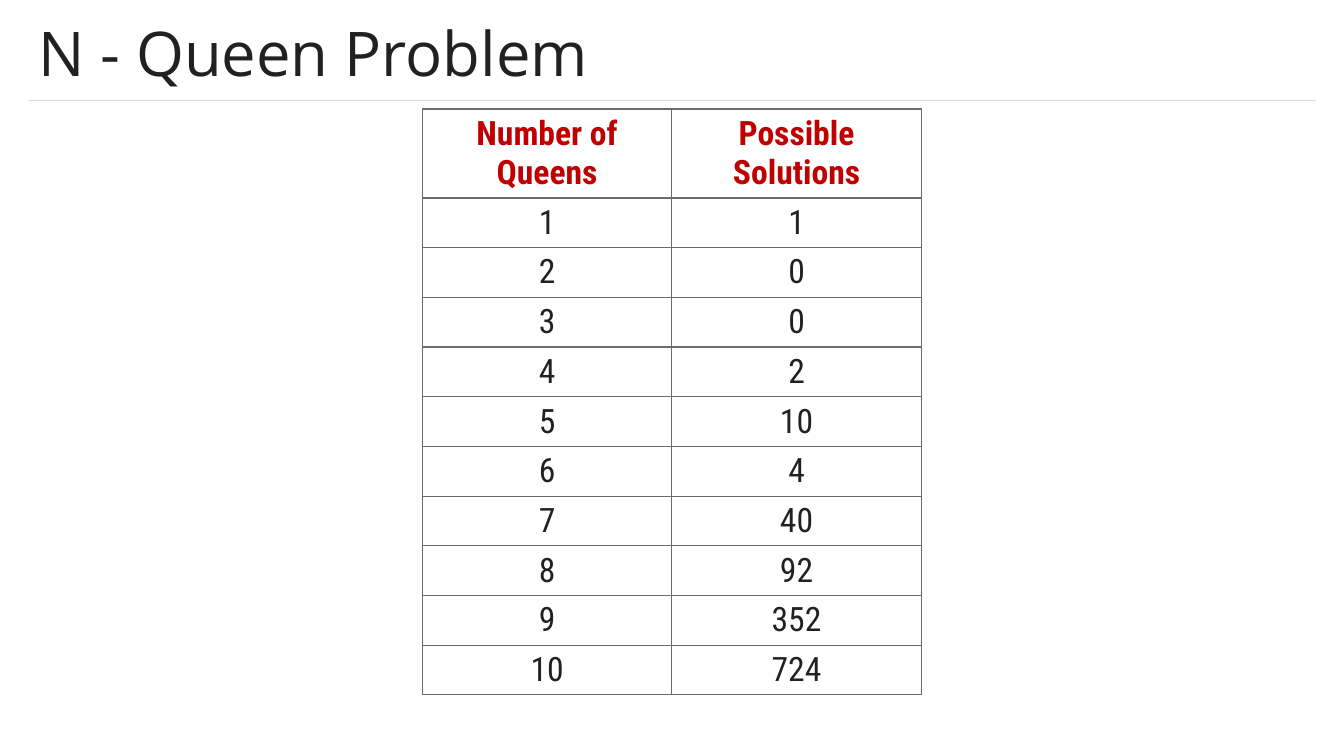
from lxml.etree import SubElement
from pptx import Presentation
from pptx.dml.color import RGBColor
from pptx.enum.shapes import MSO_CONNECTOR
from pptx.enum.text import MSO_ANCHOR, MSO_AUTO_SIZE, PP_ALIGN
from pptx.oxml.ns import qn
from pptx.util import Pt

INK = RGBColor(0x21, 0x21, 0x21)
RED = RGBColor(0xC0, 0x00, 0x00)
RULE = RGBColor(0xD9, 0xD9, 0xD9)
GRID = RGBColor(0x6C, 0x6C, 0x6C)

HEAD = ("Number of Queens", "Possible Solutions")
COUNTS = (1, 0, 0, 2, 10, 4, 40, 92, 352, 724)
HEAD_H, ROW_H, COL_W = 63.5, 35.5, 178.2


def add_text(para, text, font, size, color, bold=False):
    run = para.add_run()
    run.text = text
    run.font.name = font
    run.font.size = Pt(size)
    run.font.bold = bold
    run.font.color.rgb = color


def add_borders(cell):
    """Draw a thin line on all four sides; call before setting the fill."""
    props = cell._tc.get_or_add_tcPr()
    for side in ("a:lnL", "a:lnR", "a:lnT", "a:lnB"):
        line = SubElement(props, qn(side), w=str(Pt(1)))
        fill = SubElement(line, qn("a:solidFill"))
        SubElement(fill, qn("a:srgbClr"), val=str(GRID))


prs = Presentation()
prs.slide_width, prs.slide_height = Pt(960), Pt(540)
slide = prs.slides.add_slide(prs.slide_layouts[5])

# Title and the rule below it
title = slide.shapes.title
title.left, title.top = Pt(20), Pt(8.6)
title.width, title.height = Pt(920), Pt(63.4)
frame = title.text_frame
frame.word_wrap = True
frame.auto_size = MSO_AUTO_SIZE.NONE
frame.vertical_anchor = MSO_ANCHOR.MIDDLE
para = frame.paragraphs[0]
para.alignment = PP_ALIGN.LEFT
para.line_spacing = 0.9
add_text(para, "N - Queen Problem", "Open Sans", 44, INK)

rule = slide.shapes.add_connector(
    MSO_CONNECTOR.STRAIGHT, Pt(20), Pt(72), Pt(940), Pt(72))
rule.line.color.rgb = RULE
rule.line.width = Pt(0.5)
SubElement(rule._element.spPr, qn("a:effectLst"))

# Solutions for each board size
rows = [HEAD] + [(str(n), str(count)) for n, count in enumerate(COUNTS, 1)]
table = slide.shapes.add_table(
    len(rows), 2, Pt(301.7), Pt(77.8),
    Pt(2 * COL_W), Pt(HEAD_H + ROW_H * len(COUNTS))).table
table.first_row = False
table.horz_banding = False
for col in table.columns:
    col.width = Pt(COL_W)

for r, values in enumerate(rows):
    is_head = r == 0
    table.rows[r].height = Pt(HEAD_H if is_head else ROW_H)
    for c, value in enumerate(values):
        cell = table.cell(r, c)
        add_borders(cell)
        cell.fill.background()
        para = cell.text_frame.paragraphs[0]
        para.alignment = PP_ALIGN.CENTER
        add_text(para, value, "Roboto Condensed", 24,
                 RED if is_head else INK, is_head)

prs.save("out.pptx")
